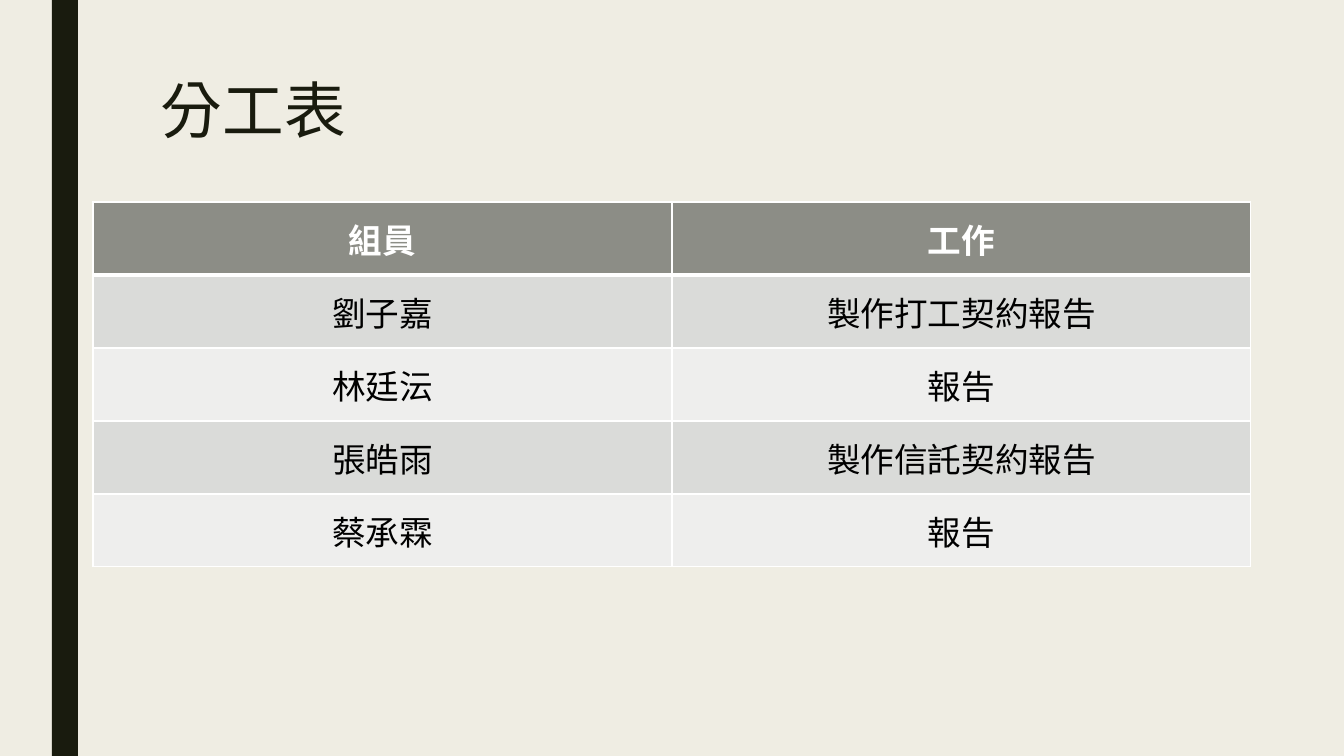
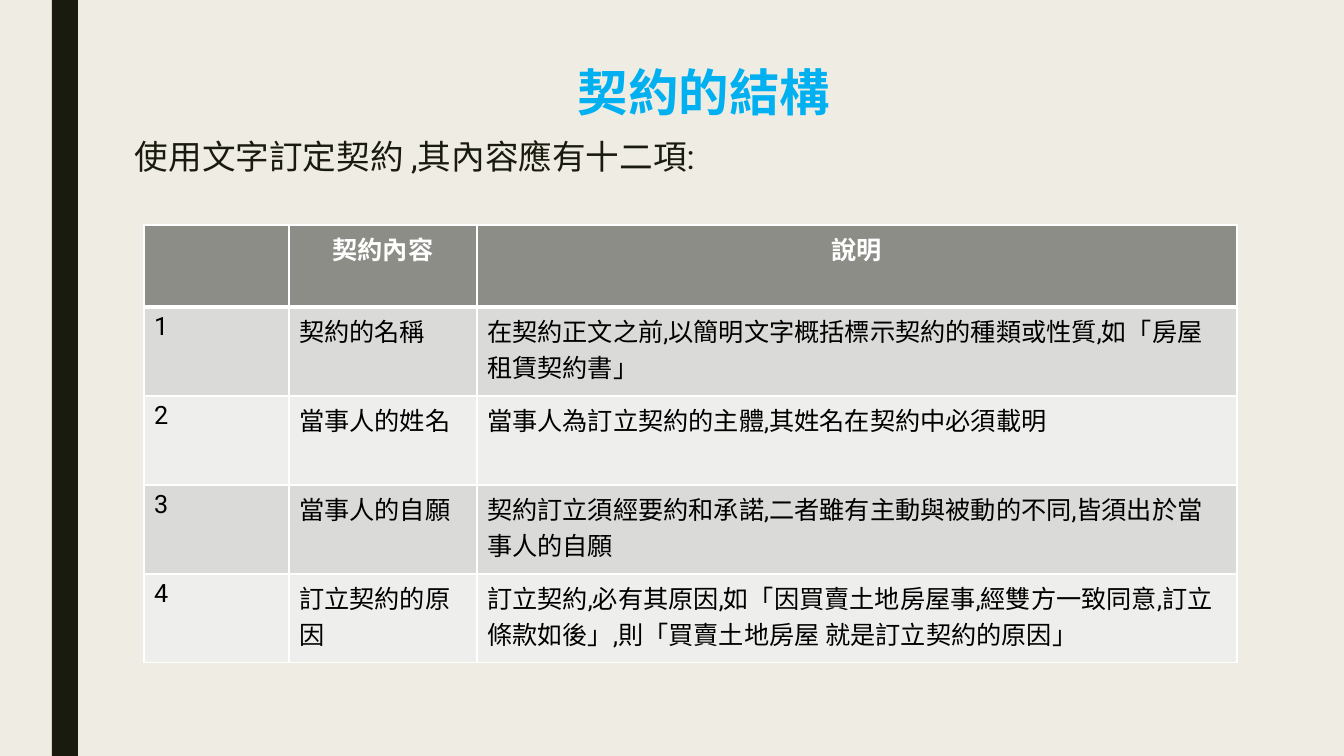
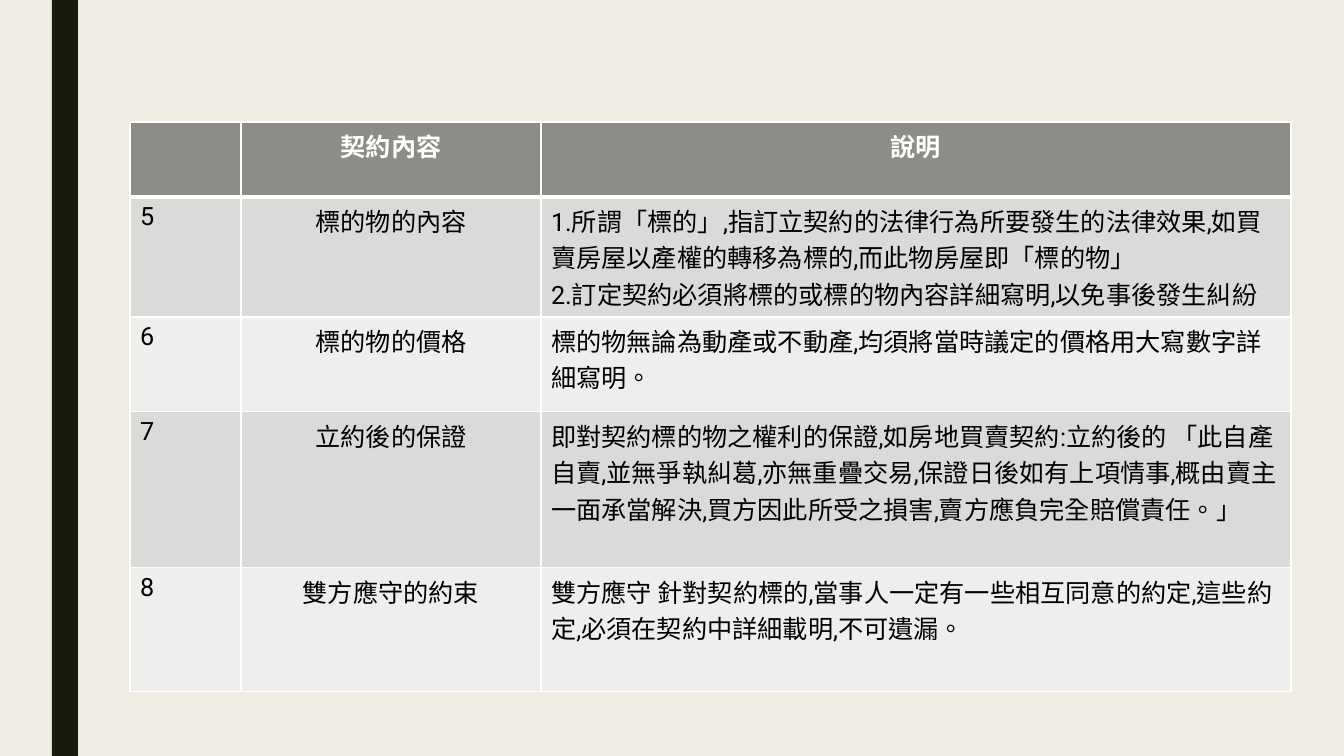
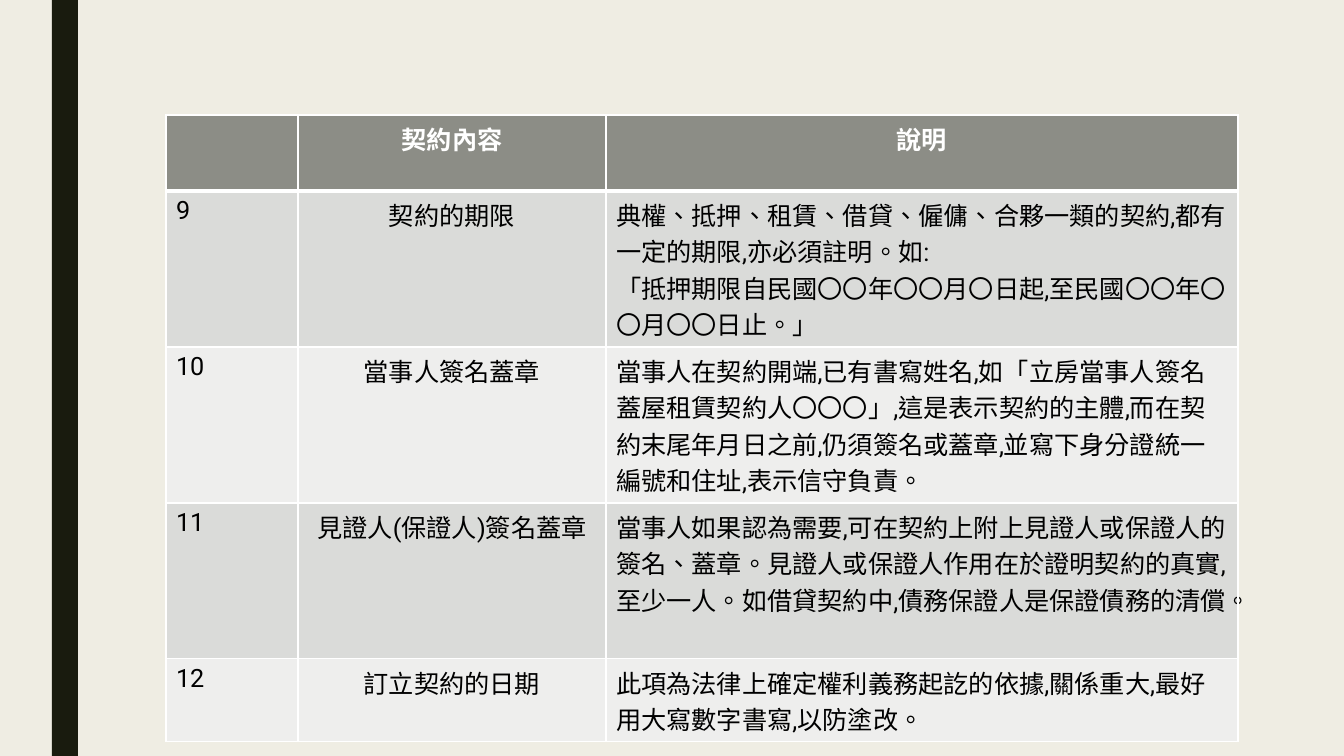
from lxml import etree
from pptx import Presentation
from pptx import util as u
from pptx.dml.color import RGBColor
from pptx.enum import shapes, text
from pptx.oxml.ns import qn

EMU_PER_PX = 914400 / 100.8
LEFT, CENTER = text.PP_ALIGN.LEFT, text.PP_ALIGN.CENTER


def px(n):
    return u.Emu(round(n * EMU_PER_PX))


def rgb(value):
    return RGBColor.from_string(value)


class Deck:
    WIDTH, HEIGHT = 1344, 756
    PAPER, INK, ACCENT = "EFEDE3", "191B0E", "00B0F0"
    HEAD, ROWS, RULE = "8C8D86", ("DADBD9", "EEEEED"), "FFFFFF"
    LATIN, CJK = "Roboto", "Noto Sans CJK SC"

    def __init__(self):
        self.prs = Presentation()
        self.prs.slide_width, self.prs.slide_height = px(self.WIDTH), px(self.HEIGHT)
        self.s = None

    def new_slide(self):
        self.s = self.prs.slides.add_slide(self.prs.slide_layouts[6])
        fill = self.s.background.fill
        fill.solid()
        fill.fore_color.rgb = rgb(self.PAPER)
        self.band(52, 0, 26, self.HEIGHT)

    def band(self, *box):
        sp = self.s.shapes.add_shape(shapes.MSO_SHAPE.RECTANGLE, *map(px, box))
        sp.shadow.inherit = False
        sp.fill.solid()
        sp.fill.fore_color.rgb = rgb(self.INK)
        sp.line.fill.background()

    def add_text(self, p, words, size, color, bold=False, font=LATIN, **layout):
        """Add one run to a paragraph; layout holds paragraph formats."""
        for name, value in layout.items():
            setattr(p, name, value)
        r = p.add_run()
        r.text = words
        for name, value in dict(name=font, size=u.Pt(size), bold=bold).items():
            setattr(r.font, name, value)
        r.font.color.rgb = rgb(color)
        rPr = r._r.get_or_add_rPr()
        rPr.set("lang", "zh-TW")
        etree.SubElement(rPr, qn("a:ea")).set("typeface", self.CJK)

    def text_box(self, box, paragraphs):
        tf = self.s.shapes.add_textbox(*map(px, box)).text_frame
        tf.word_wrap = True
        for i, formats in enumerate(paragraphs):
            self.add_text(tf.add_paragraph() if i else tf.paragraphs[0], **formats)

    def borders(self, cell, **widths):
        tcPr = cell._tc.get_or_add_tcPr()
        for side in "LRTB":
            ln = etree.SubElement(tcPr, qn("a:ln" + side), w=str(u.Pt(widths.get(side, 1))))
            fill = etree.SubElement(ln, qn("a:solidFill"))
            etree.SubElement(fill, qn("a:srgbClr"), val=self.RULE)

    def table(self, left, top, widths, heights, rows, aligns, size=18,
              anchor=text.MSO_ANCHOR.TOP):
        """Draw a table whose first row is the header; a newline starts a paragraph."""
        box = left, top, sum(widths), sum(heights)
        tbl = self.s.shapes.add_table(len(rows), len(widths), *map(px, box)).table
        tbl.first_row = tbl.horz_banding = False
        for col, width in zip(tbl.columns, widths):
            col.width = px(width)
        for i, (row, height) in enumerate(zip(rows, heights)):
            tbl.rows[i].height = px(height)
            head = i == 0
            for j, words in enumerate(row):
                cell = tbl.cell(i, j)
                cell.vertical_anchor = anchor
                self.borders(cell, **({"B": 3} if head else {"T": 3} if i == 1 else {}))
                cell.fill.solid()
                cell.fill.fore_color.rgb = rgb(self.HEAD if head else self.ROWS[(i - 1) % 2])
                tf = cell.text_frame
                for k, line in enumerate(words.split("\n") if words else []):
                    self.add_text(tf.add_paragraph() if k else tf.paragraphs[0], line, size,
                                  self.RULE if head else "000000", bold=head,
                                  alignment=CENTER if head else aligns[j])


CLAUSE_HEAD = ("", "契約內容", "說明")


def duties(deck):
    deck.new_slide()
    deck.text_box((151, 76, 1058, 163), [
        dict(words="分工表", size=44, color=deck.INK, line_spacing=0.89)])
    deck.table(93, 202, [579] * 2, [73] * 5, [
        ("組員", "工作"),
        ("劉子嘉", "製作打工契約報告"),
        ("林廷沄", "報告"),
        ("張皓雨", "製作信託契約報告"),
        ("蔡承霖", "報告"),
    ], [CENTER] * 2, size=24, anchor=text.MSO_ANCHOR.MIDDLE)


def clauses_1_to_4(deck):
    deck.new_slide()
    spacing = dict(line_spacing=0.94, space_before=u.Pt(10), space_after=u.Pt(2))
    deck.text_box((125, 61, 1158, 682), [
        dict(words="契約的結構", size=36, color=deck.ACCENT, bold=True, font=deck.CJK,
             alignment=CENTER, **spacing),
        dict(words="使用文字訂定契約 ,其內容應有十二項:", size=24, color=deck.INK, **spacing)])
    deck.table(144, 225, [145, 188, 760], [82] + [89] * 4, [
        CLAUSE_HEAD,
        ("1", "契約的名稱",
         "在契約正文之前,以簡明文字概括標示契約的種類或性質,如「房屋租賃契約書」"),
        ("2", "當事人的姓名", "當事人為訂立契約的主體,其姓名在契約中必須載明"),
        ("3", "當事人的自願",
         "契約訂立須經要約和承諾,二者雖有主動與被動的不同,皆須出於當事人的自願"),
        ("4", "訂立契約的原因",
         "訂立契約,必有其原因,如「因買賣土地房屋事,經雙方一致同意,訂立條款如後」"
         ",則「買賣土地房屋 就是訂立契約的原因」"),
    ], [LEFT] * 3)


def clauses_5_to_8(deck):
    deck.new_slide()
    deck.table(130, 122, [111, 300, 750], [75, 120, 95, 156, 124], [
        CLAUSE_HEAD,
        ("5", "標的物的內容",
         "1.所謂「標的」,指訂立契約的法律行為所要發生的法律效果,如買賣房屋以產權的轉移為標的"
         ",而此物房屋即「標的物」\n"
         "2.訂定契約必須將標的或標的物內容詳細寫明,以免事後發生糾紛"),
        ("6", "標的物的價格",
         "標的物無論為動產或不動產,均須將當時議定的價格用大寫數字詳細寫明。"),
        ("7", "立約後的保證",
         "即對契約標的物之權利的保證,如房地買賣契約:立約後的 「此自產自賣,並無爭執糾葛"
         ",亦無重疊交易,保證日後如有上項情事,概由賣主一面承當解決,買方因此所受之損害"
         ",賣方應負完全賠償責任。」"),
        ("8", "雙方應守的約束",
         "雙方應守 針對契約標的,當事人一定有一些相互同意的約定,這些約定"
         ",必須在契約中詳細載明,不可遺漏。"),
    ], [LEFT, CENTER, LEFT])


def clauses_9_to_12(deck):
    deck.new_slide()
    deck.table(166, 115, [132, 308, 632], [76, 156, 156, 156, 83], [
        CLAUSE_HEAD,
        ("9", "契約的期限",
         "典權、抵押、租賃、借貸、僱傭、合夥一類的契約,都有一定的期限,亦必須註明。如:\n"
         "「抵押期限自民國〇〇年〇〇月〇日起,至民國〇〇年〇〇月〇〇日止。」"),
        ("10", "當事人簽名蓋章",
         "當事人在契約開端,已有書寫姓名,如「立房當事人簽名蓋屋租賃契約人〇〇〇」"
         ",這是表示契約的主體,而在契約末尾年月日之前,仍須簽名或蓋章"
         ",並寫下身分證統一編號和住址,表示信守負責。"),
        ("11", "見證人(保證人)簽名蓋章",
         "當事人如果認為需要,可在契約上附上見證人或保證人的簽名、蓋章。"
         "見證人或保證人作用在於證明契約的真實,至少一人。"
         "如借貸契約中,債務保證人是保證債務的清償。"),
        ("12", "訂立契約的日期",
         "此項為法律上確定權利義務起訖的依據,關係重大,最好用大寫數字書寫,以防塗改。"),
    ], [LEFT, CENTER, LEFT])


def main():
    deck = Deck()
    for build in (duties, clauses_1_to_4, clauses_5_to_8, clauses_9_to_12):
        build(deck)
    deck.prs.save("out.pptx")


if __name__ == "__main__":
    main()
